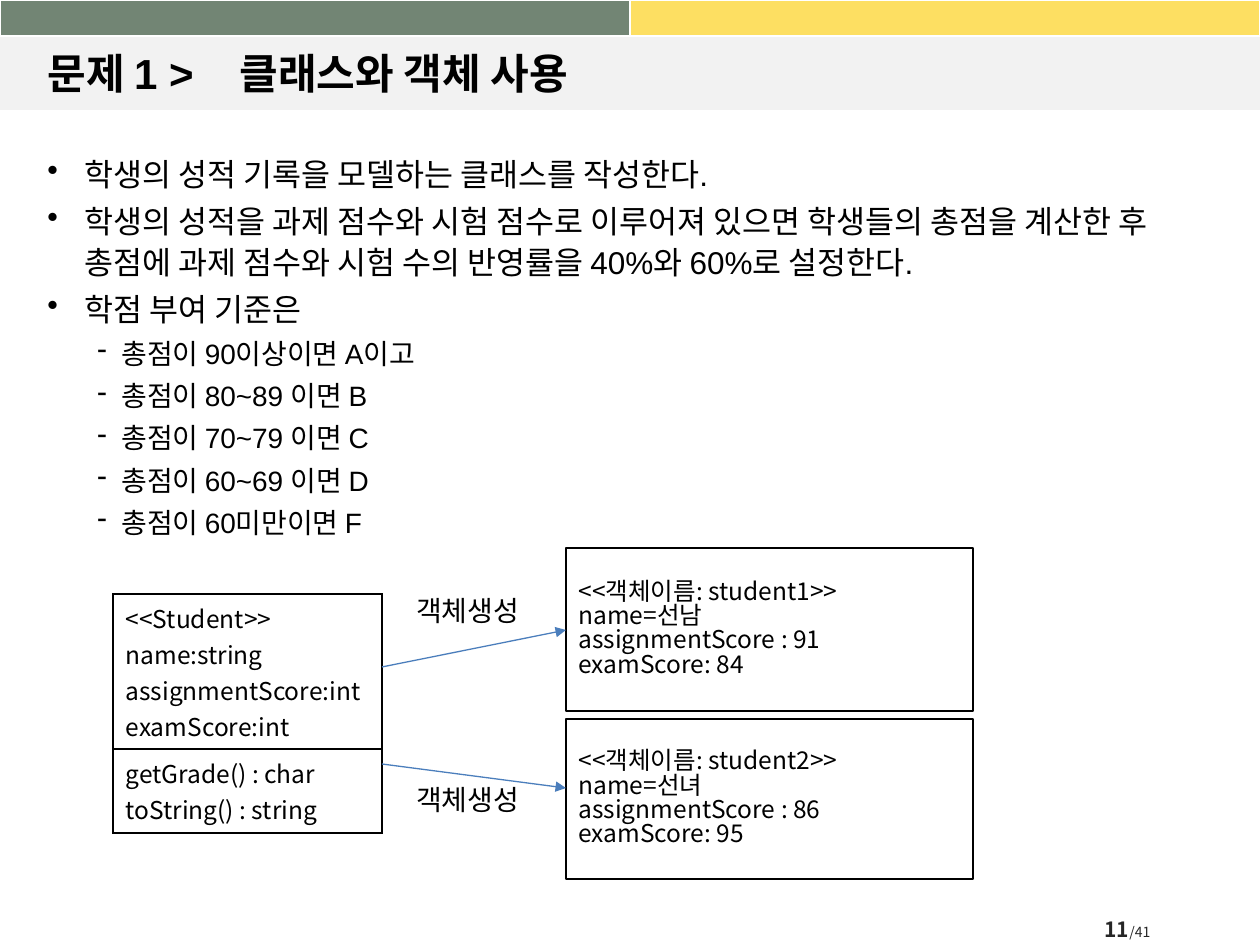
from dataclasses import dataclass
from typing import NamedTuple

from lxml import etree
from pptx import Presentation
from pptx import util as u
from pptx.dml.color import RGBColor
from pptx.enum import shapes, text
from pptx.oxml.ns import qn

EMU_PER_PX = 914400 / 126


@dataclass(frozen=True)
class Theme:
    green: str = "728574"
    yellow: str = "FDDF62"
    band: str = "F2F2F2"
    white: str = "FFFFFF"
    ink: str = "000000"
    page: str = "262626"
    arrow: str = "4B7EBC"
    body_font: str = "Arial"
    diagram_font: str = "Noto Sans CJK KR"
    title_size: int = 24
    body_size: int = 18
    sub_size: int = 16
    diagram_size: int = 14
    page_size: int = 12
    total_size: int = 8


T = Theme()


class Box(NamedTuple):
    x: int
    y: int
    w: int
    h: int


class Bullet(NamedTuple):
    char: str
    left: int
    hang: int


class StudentObject(NamedTuple):
    box: Box
    lines: list[str]


class Creation(NamedTuple):
    """An arrow from the class to an object, with its label."""
    start: tuple[int, int]
    end: tuple[int, int]
    label: Box


def px(n: float) -> int:
    return round(n * EMU_PER_PX)


def emu(values) -> list[int]:
    return [px(v) for v in values]


def add_run(p, content: str, *, size: int, font: str, color: str = T.ink, bold: bool = False):
    r = p.add_run()
    r.text = content
    r.font.size, r.font.name, r.font.bold = u.Pt(size), font, bold
    r.font.color.rgb = RGBColor.from_string(color)
    if font == T.diagram_font:
        etree.SubElement(r.font._element, qn("a:ea"), typeface=font)


def write(tf, lines: list[str], *, size: int, font: str, bold: bool = False,
          spacing: float | None = None, before: float = 0,
          bullet: Bullet | None = None, tab: int | None = None, more: bool = False):
    """Write one paragraph per line; more=True continues after existing text."""
    for i, line in enumerate(lines):
        first = i == 0 and not more
        p = tf.paragraphs[0] if first else tf.add_paragraph()
        p.alignment = text.PP_ALIGN.LEFT
        p_pr = p._p.get_or_add_pPr()
        if bullet:
            p_pr.set("marL", str(px(bullet.left)))
            p_pr.set("indent", str(-px(bullet.hang)))
            etree.SubElement(p_pr, qn("a:buChar"), char=bullet.char)
        if tab:
            tabs = etree.SubElement(p_pr, qn("a:tabLst"))
            etree.SubElement(tabs, qn("a:tab"), pos=str(px(tab)), algn="l")
        if spacing:
            p.line_spacing = spacing
        if before and not first:
            p.space_before = u.Pt(before)
        add_run(p, line, size=size, font=font, bold=bold)


def text_frame(s, box: Box, wrap: bool = True, anchor=text.MSO_ANCHOR.TOP):
    tf = s.shapes.add_textbox(*emu(box)).text_frame
    tf.word_wrap, tf.vertical_anchor = wrap, anchor
    return tf


def add_rect(s, box: Box, fill: str, line: str | None = None):
    sp = s.shapes.add_shape(shapes.MSO_SHAPE.RECTANGLE, *emu(box))
    sp.shadow.inherit = False
    sp.fill.solid()
    sp.fill.fore_color.rgb = RGBColor.from_string(fill)
    if line:
        sp.line.color.rgb, sp.line.width = RGBColor.from_string(line), u.Pt(1)
    else:
        sp.line.fill.background()
    return sp


def add_plain_table(s, box: Box, heights: list[int], columns: int):
    table = s.shapes.add_table(len(heights), columns, *emu(box)).table
    table.first_row = table.horz_banding = False
    for row, height in zip(table.rows, heights):
        row.height = px(height)
    return table


def add_top_band(s):
    table = add_plain_table(s, Box(0, 0, 1260, 36), [36], 2)
    for cell, color in zip(table.iter_cells(), (T.green, T.yellow)):
        cell.margin_top = cell.margin_bottom = 0
        cell.fill.solid()
        cell.fill.fore_color.rgb = RGBColor.from_string(color)
        p = cell.text_frame.paragraphs[0]
        etree.SubElement(p._p, qn("a:endParaRPr"), sz=str(T.total_size * 100))


def add_class_table(s, box: Box, heights: list[int], sections: list[list[str]]):
    table = add_plain_table(s, box, heights, 1)
    for cell, lines in zip(table.iter_cells(), sections):
        tc_pr = cell._tc.get_or_add_tcPr()
        for side in ("lnL", "lnR", "lnT", "lnB"):
            ln = etree.SubElement(tc_pr, qn(f"a:{side}"), w=str(u.Pt(1)))
            fill = etree.SubElement(ln, qn("a:solidFill"))
            etree.SubElement(fill, qn("a:srgbClr"), val=T.ink)
        cell.fill.background()
        write(cell.text_frame, lines, size=T.diagram_size, font=T.diagram_font)


def add_object(s, obj: StudentObject):
    tf = add_rect(s, obj.box, T.white, T.ink).text_frame
    tf.word_wrap, tf.vertical_anchor = True, text.MSO_ANCHOR.MIDDLE
    write(tf, obj.lines, size=T.diagram_size, font=T.diagram_font, spacing=0.83)


def add_creation(s, creation: Creation):
    line = s.shapes.add_connector(shapes.MSO_CONNECTOR.STRAIGHT,
                                  *emu(creation.start + creation.end))
    line.line.color.rgb, line.line.width = RGBColor.from_string(T.arrow), u.Pt(0.75)
    etree.SubElement(line.line._get_or_add_ln(), qn("a:tailEnd"), type="triangle")
    etree.SubElement(line._element.spPr, qn("a:effectLst"))
    write(text_frame(s, creation.label, wrap=False), ["객체생성"],
          size=T.sub_size, font=T.diagram_font, spacing=0.84)


def student(box: Box, number: int, name: str, assignment: int, exam: int) -> StudentObject:
    return StudentObject(box, [f"<<객체이름: student{number}>>", f"name={name}",
                               f"assignmentScore : {assignment}", f"examScore: {exam}"])


def main():
    prs = Presentation()
    prs.slide_width, prs.slide_height = px(1260), px(945)
    s = prs.slides.add_slide(prs.slide_layouts[6])

    add_rect(s, Box(0, 36, 1260, 74), T.band)
    add_top_band(s)
    write(text_frame(s, Box(35, 37, 1191, 71), anchor=text.MSO_ANCHOR.MIDDLE),
          ["문제 1 >\t클래스와 객체 사용"], size=T.title_size, font=T.body_font,
          bold=True, tab=192)

    body = text_frame(s, Box(35, 145, 1191, 735))
    write(body, [
        "학생의 성적 기록을 모델하는 클래스를 작성한다.",
        "학생의 성적을 과제 점수와 시험 점수로 이루어져 있으면 학생들의 총점을 계산한 후 "
        "총점에 과제 점수와 시험 수의 반영률을 40%와 60%로 설정한다.",
        "학점 부여 기준은",
    ], size=T.body_size, font=T.body_font, spacing=1.1, before=3, bullet=Bullet("•", 37, 37))
    write(body, ["총점이 90이상이면 A이고", "총점이 80~89 이면 B", "총점이 70~79 이면 C",
                 "총점이 60~69 이면 D", "총점이 60미만이면 F"],
          size=T.sub_size, font=T.body_font, spacing=1.1, before=3,
          bullet=Bullet("-", 74, 24), more=True)

    add_class_table(s, Box(113, 594, 269, 239), [155, 84], [
        ["<<Student>>", "name:string", "assignmentScore:int", "examScore:int"],
        ["getGrade() : char", "toString() : string"],
    ])
    for obj in (student(Box(566, 548, 407, 163), 1, "선남", 91, 84),
                student(Box(566, 719, 407, 160), 2, "선녀", 86, 95)):
        add_object(s, obj)
    for creation in (Creation((382, 667), (566, 630), Box(404, 593, 139, 47)),
                     Creation((382, 764), (566, 788), Box(404, 782, 139, 47))):
        add_creation(s, creation)

    page = text_frame(s, Box(1067, 913, 121, 33), wrap=False, anchor=text.MSO_ANCHOR.MIDDLE)
    page.margin_left = page.margin_right = 0
    p = page.paragraphs[0]
    p.alignment = text.PP_ALIGN.CENTER
    add_run(p, "11", size=T.page_size, font=T.diagram_font, color=T.page, bold=True)
    add_run(p, "/41", size=T.total_size, font=T.diagram_font, color=T.page)
    prs.save("out.pptx")


if __name__ == "__main__":
    main()
